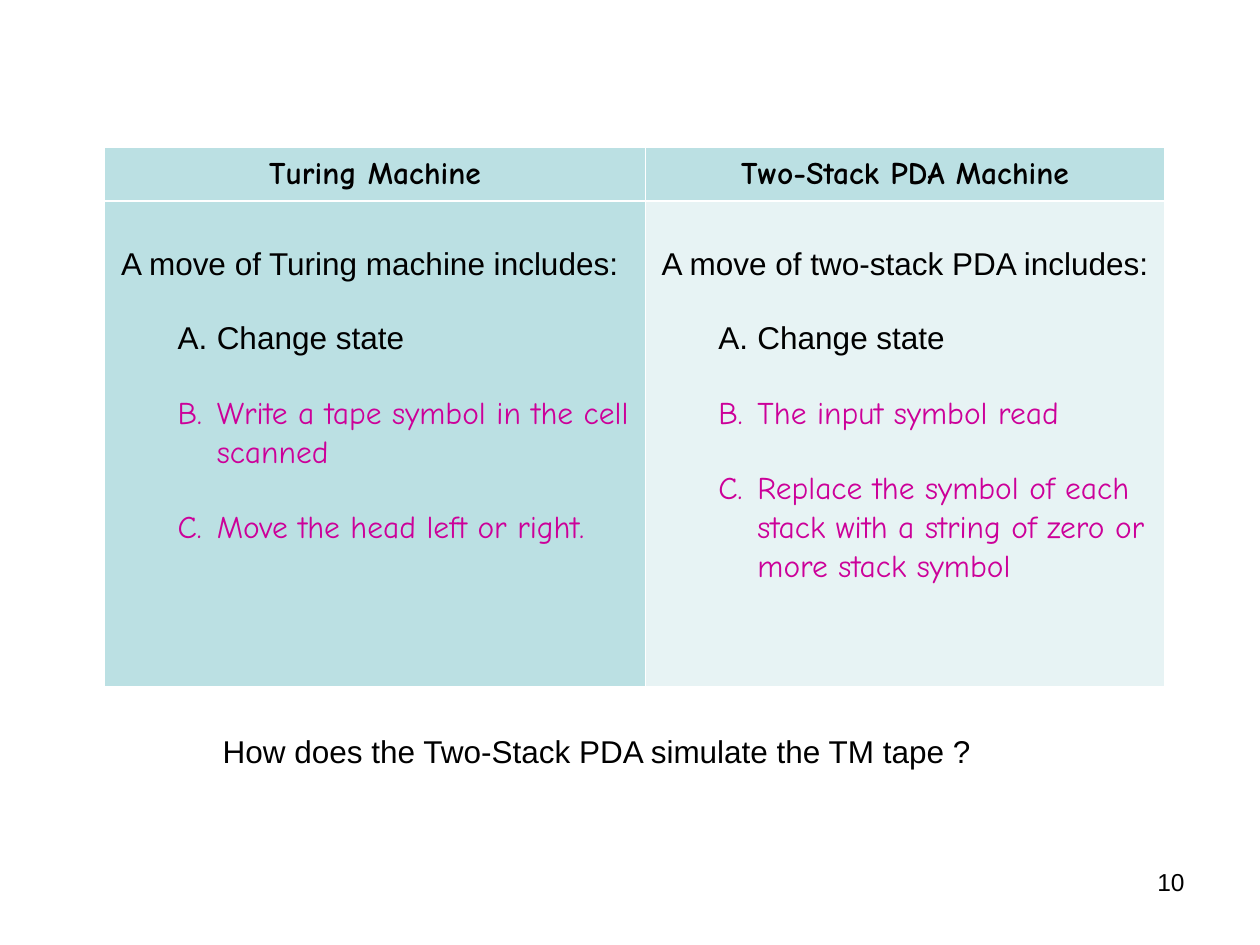
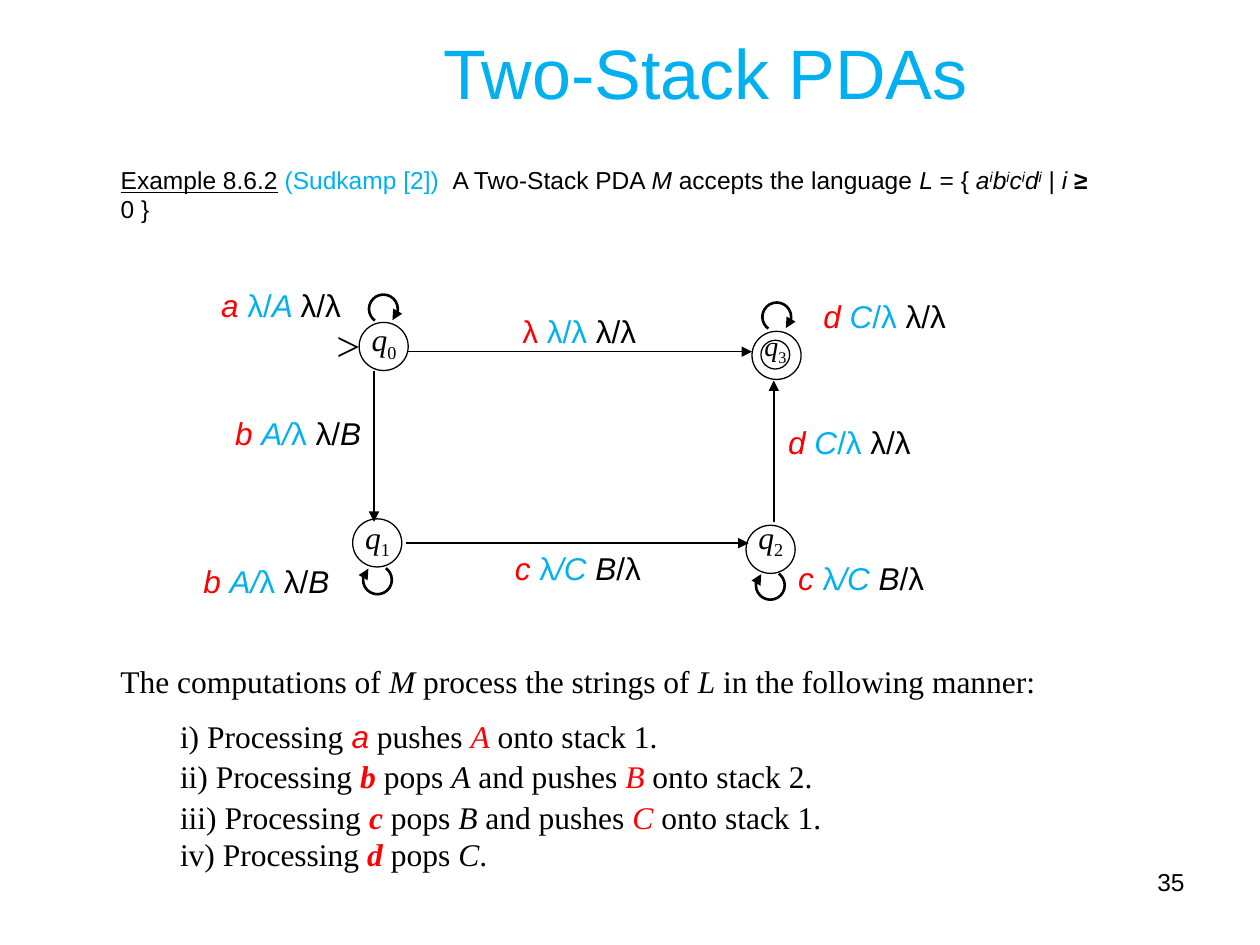
from lxml import etree
from pptx import Presentation
from pptx.dml.color import RGBColor
from pptx.enum.shapes import MSO_CONNECTOR, MSO_SHAPE
from pptx.enum.text import MSO_ANCHOR, MSO_AUTO_SIZE, PP_ALIGN
from pptx.oxml.ns import qn
from pptx.util import Cm, Pt

CENTER, RIGHT = PP_ALIGN.CENTER, PP_ALIGN.RIGHT
MIDDLE, FIXED = MSO_ANCHOR.MIDDLE, MSO_AUTO_SIZE.NONE
OVAL, ARC = MSO_SHAPE.OVAL, MSO_SHAPE.ARC
LINE = MSO_CONNECTOR.STRAIGHT
HEX = {"black": "000000", "blue": "00B0F0", "red": "FF0000", "pink": "CC0099",
       "teal": "BBE0E3", "pale": "E7F3F4", "white": "FFFFFF"}
RGB = {name: RGBColor.from_string(code) for name, code in HEX.items()}
SANS, HAND, SERIF = "Arial", "Comic Neue", "Times New Roman"
BASE = {"sup": "30000", "sub": "-25000"}


def write(para, runs, size=18, face=SANS):
    for text, look in runs:
        words = look.split()
        run = para.add_run()
        run.text = text
        font = run.font
        font.size = Pt(size)
        font.name = SANS if "sans" in words else face
        font.bold = "bold" in words
        font.italic = "italic" in words
        font.underline = "under" in words
        font.color.rgb = RGB["black"]
        for word in words:
            if word in RGB:
                font.color.rgb = RGB[word]
            if word in BASE:
                run._r.get_or_add_rPr().set("baseline", BASE[word])


def box(slide, left, top, width, height, wrap=True):
    frame = slide.shapes.add_textbox(Cm(left), Cm(top), Cm(width), Cm(height)).text_frame
    frame.word_wrap = wrap
    return frame


deck = Presentation()
deck.slide_width, deck.slide_height = Cm(25.4), Cm(19.05)
first = deck.slides.add_slide(deck.slide_layouts[6])
second = deck.slides.add_slide(deck.slide_layouts[1])

for slide, number in ((first, "10"), (second, "35")):
    para = box(slide, 18.21, 17.35, 5.92, 1.32).paragraphs[0]
    para.alignment = RIGHT
    write(para, [(number, "")], 14)

grid = first.shapes.add_table(2, 2, Cm(2.11), Cm(2.97), Cm(21.37), Cm(10.72)).table
for col, width in zip(grid.columns, (10.9, 10.47)):
    col.width = Cm(width)
for row, height in zip(grid.rows, (0.94, 9.78)):
    row.height = Cm(height)

sides = [
    ("Turing Machine", "teal", "A move of Turing machine includes:",
     ["Change state", "Write a tape symbol in the cell scanned",
      "Move the head left or right."]),
    ("Two-Stack PDA Machine", "pale", "A move of two-stack PDA includes:",
     ["Change state", "The input symbol read",
      "Replace the symbol of each stack with a string of zero or more stack symbol"]),
]
for col, (head, tint, lead, steps) in enumerate(sides):
    for row, shade in enumerate(("teal", tint)):
        cell = grid.cell(row, col)
        cell.margin_left = cell.margin_right = Cm(0.2)
        cell.margin_top = Cm(0.88 if row else 0.13)
        cell.margin_bottom = Cm(0.13)
        rule = "lnT" if row else "lnB"
        for edge in ("lnL", "lnR", "lnT", "lnB"):
            width = Pt(1.47 if edge == rule else 0.45)
            line = etree.SubElement(cell._tc.get_or_add_tcPr(), qn("a:" + edge), w=str(width))
            paint = etree.SubElement(line, qn("a:solidFill"))
            etree.SubElement(paint, qn("a:srgbClr"), val=HEX["white"])
        cell.fill.solid()
        cell.fill.fore_color.rgb = RGB[shade]

    para = grid.cell(0, col).text_frame.paragraphs[0]
    para.alignment = CENTER
    para.line_spacing = 1.07
    write(para, [(head, "bold")], face=HAND)

    frame = grid.cell(1, col).text_frame
    para = frame.paragraphs[0]
    para.line_spacing = 1.07
    para._p.get_or_add_pPr().set("marL", str(Cm(0.13)))
    write(para, [(lead, "")])
    for step, hue, face in zip(steps, ("black", "pink", "pink"), (SANS, HAND, HAND)):
        para = frame.add_paragraph()
        para.line_spacing = 1.07
        para.space_before = Pt(21)
        prop = para._p.get_or_add_pPr()
        prop.set("marL", str(Cm(2.06)))
        prop.set("indent", str(Cm(-0.79)))
        paint = etree.SubElement(prop, qn("a:buClr"))
        etree.SubElement(paint, qn("a:srgbClr"), val=HEX[hue])
        etree.SubElement(prop, qn("a:buFont"), typeface=face)
        etree.SubElement(prop, qn("a:buAutoNum"), type="alphaUcPeriod")
        write(para, [(step, hue)], face=face)

frame = box(first, 4.24, 14.63, 16.08, 1.02)
write(frame.paragraphs[0], [("How does the Two-Stack PDA simulate the TM tape ?", "")])

title, body = second.placeholders
title.left, title.top, title.width, title.height = Cm(7.77), Cm(0.71), Cm(12.9), Cm(1.47)
body.left, body.top, body.width, body.height = Cm(2.18), Cm(3.2), Cm(20.3), Cm(1.57)
for shape in (title, body):
    shape.text_frame.auto_size = FIXED
title.text_frame.vertical_anchor = MIDDLE
para = title.text_frame.paragraphs[0]
para.alignment = CENTER
write(para, [("Two-Stack PDAs", "blue")], 40)

para = body.text_frame.paragraphs[0]
prop = para._p.get_or_add_pPr()
prop.set("marL", "0")
prop.set("indent", "0")
etree.SubElement(prop, qn("a:buNone"))
power = []
for sign in "abcd":
    power += [(sign, "italic"), ("i", "italic sup")]
write(para, [("Example 8.6.2", "under"), (" ", ""), ("(Sudkamp [2])  ", "blue"),
             ("A Two-Stack PDA ", ""), ("M", "italic"), (" accepts the language ", ""),
             ("L", "italic"), (" = { ", ""), *power, (" | ", ""), ("i ", "italic"),
             ("≥", "bold"), (" 0 }", "")], 14)

states = [("0", 7.24, 6.5, 0.18, 18), ("1", 7.11, 10.46, 0.15, 18),
          ("2", 15.04, 10.59, 0.28, 18), ("3", 15.16, 6.68, 0.18, 16)]
rings = [(x, y, 0.99, 0.97) for _, x, y, _, _ in states] + [(15.34, 6.86, 0.58, 0.58)]
for ring in rings:
    shape = second.shapes.add_shape(OVAL, *map(Cm, ring))
    shape.shadow.inherit = False
    shape.fill.background()
    shape.line.color.rgb = RGB["black"]
    shape.line.width = Pt(0.74)
for index, x, y, lift, size in states:
    para = box(second, x, y - lift, 1.19, 1.12).paragraphs[0]
    write(para, [("q", "italic"), (index, "sub")], size, SERIF)
write(box(second, 6.53, 6.32, 0.99, 1.27, False).paragraphs[0], [(">", "")], 24, SERIF)

tips = []
for ends in ((8.23, 7.09, 15.16, 7.09), (7.54, 7.47, 7.54, 10.52),
             (15.6, 10.52, 15.6, 7.67), (8.18, 10.95, 15.09, 10.95)):
    link = second.shapes.add_connector(LINE, *map(Cm, ends))
    etree.SubElement(link._element.spPr, qn("a:effectLst"))
    tips.append((link, 0.74))
for x, y, turn in ((7.44, 5.94, 0), (15.37, 6.1, 0), (7.32, 11.4, 180), (15.24, 11.51, 180)):
    loop = second.shapes.add_shape(ARC, Cm(x), Cm(y), Cm(0.58), Cm(0.58))
    loop.shadow.inherit = False
    loop.fill.background()
    for slot, angle in enumerate((126, 51)):
        loop.adjustments[slot] = (angle + turn) * 0.6
    tips.append((loop, 1.5))
for shape, width in tips:
    shape.line.color.rgb = RGB["black"]
    shape.line.width = Pt(width)
    etree.SubElement(shape._element.spPr.find(qn("a:ln")), qn("a:tailEnd"), type="triangle")

moves = {
    "λ": [("λ ", "red"), ("λ/λ ", "blue"), ("λ/λ", "")],
    "a": [("a ", "red italic"), ("λ/", "blue"), ("A ", "blue italic"), ("λ/λ", "")],
    "b": [("b ", "red italic"), ("A/", "blue italic"), ("λ ", "blue"), ("λ/", ""),
          ("B", "italic")],
    "c": [("c ", "red italic"), ("λ", "blue"), ("/C", "blue italic"), (" B", "italic"),
          ("/λ", "")],
    "d": [("d ", "red italic"), ("C", "blue italic"), ("/λ ", "blue"), ("λ/λ", "")],
}
for sign, x, y in (("a", 4.21, 5.64), ("λ", 10.28, 6.17), ("d", 16.35, 5.87),
                   ("b", 4.49, 8.23), ("d", 15.64, 8.41), ("b", 3.85, 11.2),
                   ("c", 10.13, 10.95), ("c", 15.84, 11.15)):
    write(box(second, x, y, 3.7, 1.02).paragraphs[0], moves[sign])

para = box(second, 2.18, 13.16, 19.69, 1.07).paragraphs[0]
para.line_spacing = 1.07
write(para, [("The computations of ", ""), ("M", "italic"), (" process the strings of ", ""),
             ("L", "italic"), (" in the following manner:", "")], face=SERIF)

frame = box(second, 3.38, 14.27, 14.17, 3.48)
rules = [("i", "a", "", "A", "1"), ("ii", "b", "A", "B", "2"),
         ("iii", "c", "B", "C", "1"), ("iv", "d", "C", "", "")]
for order, (mark, sign, pop, push, stack) in enumerate(rules):
    para = frame.add_paragraph() if order else frame.paragraphs[0]
    para.line_spacing = 1.07 if push else 1.0
    runs = [(mark + ") Processing ", ""),
            (sign, "red italic bold" if pop else "red italic sans")]
    if pop:
        runs += [(" pops ", ""), (pop, "italic")]
    if push:
        runs += [(" and pushes " if pop else " pushes ", ""), (push, "red italic"),
                 (" onto stack " + stack, "")]
    write(para, runs + [(".", "")], face=SERIF)

deck.save("out.pptx")
